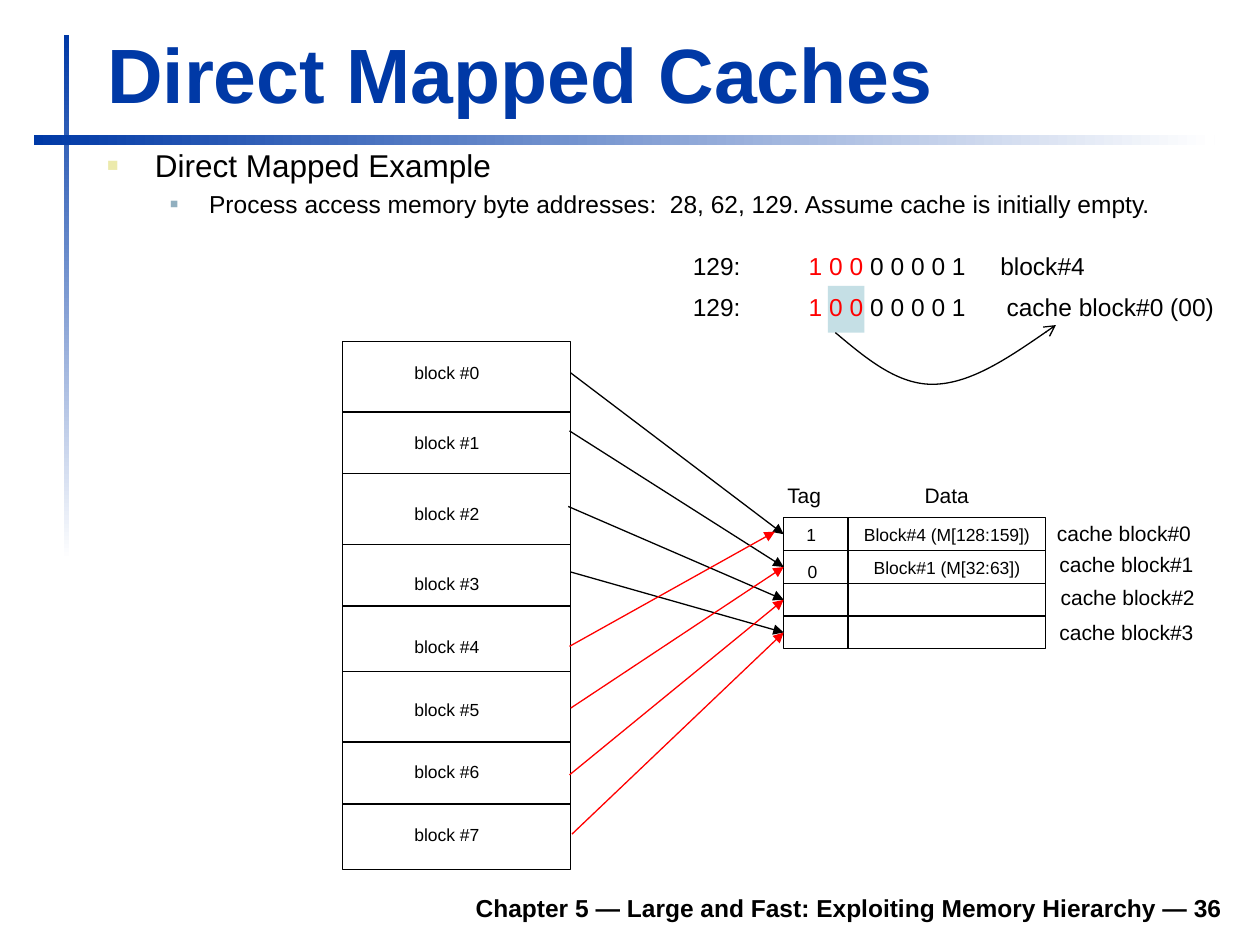
"""Build the direct mapped caches slide, measured in px of 1/100 inch."""
from dataclasses import dataclass

from pptx import Presentation
from pptx.dml.color import RGBColor
from pptx.enum.shapes import MSO_CONNECTOR, MSO_SHAPE
from pptx.enum.text import MSO_ANCHOR, PP_ALIGN
from pptx.oxml.ns import qn
from pptx.oxml.xmlchemy import OxmlElement
from pptx.util import Pt

PX = 9144
FONT = "Arial"
BLACK, RED, BLUE, WHITE, PALE = "000000", "FF0000", "0039A6", "FFFFFF", "C5DFE5"
LEFT, CENTER, RIGHT = PP_ALIGN.LEFT, PP_ALIGN.CENTER, PP_ALIGN.RIGHT
TOP, BOTTOM = MSO_ANCHOR.TOP, MSO_ANCHOR.BOTTOM
RECT, STRAIGHT = MSO_SHAPE.RECTANGLE, MSO_CONNECTOR.STRAIGHT

MEMORY_LEFT, MEMORY_RIGHT = 272, 453
MEMORY_TOP, MEMORY_HEIGHT = 271, 419
CACHE_TOP, ROW_HEIGHT = 411, 26
TAG_LEFT, TAG_WIDTH, DATA_WIDTH = 622, 51, 157


@dataclass
class Box:
    left: int
    top: int
    width: int
    height: int

    def emu(self) -> list[int]:
        return [v * PX for v in (self.left, self.top, self.width, self.height)]


@dataclass
class Arrow:
    x1: int
    y1: int
    x2: int
    y2: int
    color: str


@dataclass
class Bullet:
    text: str
    level: int
    size: int
    margin: int
    hang: int
    color: str
    percent: int
    before: float


@dataclass
class Address:
    top: int
    block: str
    stop: int


BULLETS = [
    Bullet("Direct Mapped Example", 0, 18, 38, 38, "ECEAAC", 60, 0),
    Bullet("Process access memory byte addresses:  28, 62, 129. "
           "Assume cache is initially empty.", 1, 14, 81, 31, "91AFBF", 55, 2.8),
]
DIVIDERS = [327, 376, 432, 481, 533, 589, 638]
BLOCK_TOPS = [282, 338, 394, 450, 500, 550, 599, 649]
CACHE_ROWS = [("1", "Block#4 (M[128:159])"), ("0", "Block#1 (M[32:63])"), ("", ""), ("", "")]
CACHE_LABELS = [(829, 408), (831, 433), (832, 459), (831, 487)]
ARROWS = [
    Arrow(453, 296, 622, 424, BLACK), Arrow(452, 342, 622, 450, BLACK),
    Arrow(451, 402, 622, 476, BLACK), Arrow(453, 454, 622, 502, BLACK),
    Arrow(452, 513, 615, 422, RED), Arrow(453, 562, 622, 450, RED),
    Arrow(452, 615, 622, 476, RED), Arrow(454, 662, 622, 502, RED),
]
ADDRESSES = [Address(194, "block#4", 244), Address(227, "cache block#0 (00)", 249)]
CURVE = [(663, 264), (688, 285), (713, 306), (742, 305), (771, 304), (805, 281), (838, 258)]


def rgb(color: str) -> RGBColor:
    return RGBColor.from_string(color)


def add_child(parent, tag: str, **attributes):
    child = OxmlElement(tag)
    for name, value in attributes.items():
        child.set(name, str(value))
    parent.append(child)
    return child


def style(p, size: int, color: str = BLACK, bold: bool = False, align=LEFT) -> None:
    p.alignment = align
    p.font.name, p.font.size, p.font.bold = FONT, Pt(size), bold
    p.font.color.rgb = rgb(color)


def set_line(sp, color: str = BLACK, head: str = "") -> None:
    sp.line.color.rgb = rgb(color)
    sp.line.width = Pt(0.75)
    if head:
        add_child(sp._element.spPr.find(qn("a:ln")), "a:tailEnd", type=head)


def add_text(s, box: Box, text: str, size: int, bold=False, align=LEFT, anchor=TOP, wrap=True):
    tf = s.shapes.add_textbox(*box.emu()).text_frame
    tf.word_wrap, tf.vertical_anchor = wrap, anchor
    tf.text = text
    style(tf.paragraphs[0], size, bold=bold, align=align)
    return tf.paragraphs[0]


def add_rect(s, box: Box):
    sp = s.shapes.add_shape(RECT, *box.emu())
    sp.shadow.inherit = False
    sp.fill.background()
    sp.line.fill.background()
    return sp


def add_gradient(s, box: Box, angle: int) -> None:
    fill = add_rect(s, box).fill
    fill.gradient()
    fill.gradient_angle = angle
    for stop, color, position in zip(fill.gradient_stops, (BLUE, WHITE), (0, 1)):
        stop.color.rgb = rgb(color)
        stop.position = position


def add_cell(s, box: Box, text: str, align=CENTER, left: int = 10, top: int = 5) -> None:
    sp = add_rect(s, box)
    set_line(sp)
    if text:
        tf = sp.text_frame
        tf.vertical_anchor = TOP
        tf.margin_left, tf.margin_top = left * PX, top * PX
        tf.text = text
        style(tf.paragraphs[0], 10, align=align)


def add_line(s, line: Arrow, head: str = "") -> None:
    c = s.shapes.add_connector(STRAIGHT, *(v * PX for v in (line.x1, line.y1, line.x2, line.y2)))
    set_line(c, line.color, head)
    add_child(c._element.spPr, "a:effectLst")


def add_curve(s, points: list[tuple[int, int]]) -> None:
    builder = s.shapes.build_freeform(*points[0], scale=PX)
    builder.add_line_segments(points[1:], close=False)
    sp = builder.convert_to_shape()
    sp.shadow.inherit = False
    sp.fill.background()
    set_line(sp, head="arrow")
    segments = list(sp._element.iter(qn("a:lnTo")))
    outline = segments[0].getparent()
    for i in range(0, len(segments), 3):
        bezier = add_child(outline, "a:cubicBezTo")
        for segment in segments[i:i + 3]:
            bezier.append(segment[0])
            outline.remove(segment)


def add_bullet(p, item: Bullet) -> None:
    p.text, p.level = item.text, item.level
    pPr = p._p.get_or_add_pPr()
    pPr.set("marL", str(item.margin * PX))
    pPr.set("indent", str(-item.hang * PX))
    add_child(add_child(pPr, "a:buClr"), "a:srgbClr", val=item.color)
    add_child(pPr, "a:buSzPct", val=item.percent * 1000)
    add_child(pPr, "a:buFont", typeface=FONT)
    add_child(pPr, "a:buChar", char="■")
    p.space_before = Pt(item.before)
    style(p, item.size)


def add_address(s, item: Address) -> None:
    p = add_text(s, Box(540, item.top, 435, 34), "129:\t", 14, wrap=False)
    tabs = OxmlElement("a:tabLst")
    for stop in (92, item.stop):
        add_child(tabs, "a:tab", pos=stop * PX, algn="l")
    p._p.get_or_add_pPr().insert(0, tabs)
    for text, color in (("1 0 0 ", RED), (f"0 0 0 0 1\t{item.block}", BLACK)):
        r = p.add_run()
        r.text = text
        r.font.color.rgb = rgb(color)


def add_placeholders(s) -> None:
    title, body = s.placeholders
    for sp, box in ((title, Box(75, 15, 903, 84)), (body, Box(75, 111, 905, 81))):
        sp.left, sp.top, sp.width, sp.height = box.emu()
    title.text_frame.text = "Direct Mapped Caches"
    title.text_frame.vertical_anchor = BOTTOM
    style(title.text_frame.paragraphs[0], 44, BLUE, True)
    tf = body.text_frame
    for i, item in enumerate(BULLETS):
        add_bullet(tf.add_paragraph() if i else tf.paragraphs[0], item)


def add_memory(s) -> None:
    add_cell(s, Box(MEMORY_LEFT, MEMORY_TOP, MEMORY_RIGHT - MEMORY_LEFT, MEMORY_HEIGHT), "")
    for y in DIVIDERS:
        add_line(s, Arrow(MEMORY_LEFT, y, MEMORY_RIGHT, y, BLACK))
    for i, top in enumerate(BLOCK_TOPS):
        add_text(s, Box(319, top, 91, 28), f"block #{i}", 10)


def add_cache(s) -> None:
    add_text(s, Box(615, 378, 47, 30), "Tag", 12, wrap=False)
    add_text(s, Box(724, 378, 56, 30), "Data", 12, wrap=False)
    for i, ((tag, data), (left, label_top)) in enumerate(zip(CACHE_ROWS, CACHE_LABELS)):
        top = CACHE_TOP + i * ROW_HEIGHT
        add_cell(s, Box(TAG_LEFT, top, TAG_WIDTH, ROW_HEIGHT), tag, LEFT, 18 + i, 5 + 3 * i)
        add_cell(s, Box(TAG_LEFT + TAG_WIDTH, top, DATA_WIDTH, ROW_HEIGHT), data)
        add_text(s, Box(left, label_top, 127, 30), f"cache block#{i}", 12, wrap=False)


def main() -> None:
    prs = Presentation()
    prs.slide_width, prs.slide_height = 1000 * PX, 750 * PX
    s = prs.slides.add_slide(prs.slide_layouts[1])
    add_gradient(s, Box(51, 28, 4, 417), 270)
    add_gradient(s, Box(27, 107, 937, 8), 0)
    index_bits = add_rect(s, Box(657, 227, 29, 37))
    index_bits.fill.solid()
    index_bits.fill.fore_color.rgb = rgb(PALE)
    add_text(s, Box(185, 698, 795, 39),
             "Chapter 5 — Large and Fast: Exploiting Memory Hierarchy — 36",
             14, True, RIGHT, BOTTOM)
    add_placeholders(s)
    add_memory(s)
    add_cache(s)
    for arrow in ARROWS:
        add_line(s, arrow, "triangle")
    for item in ADDRESSES:
        add_address(s, item)
    add_curve(s, CURVE)
    prs.save("out.pptx")


if __name__ == "__main__":
    main()
